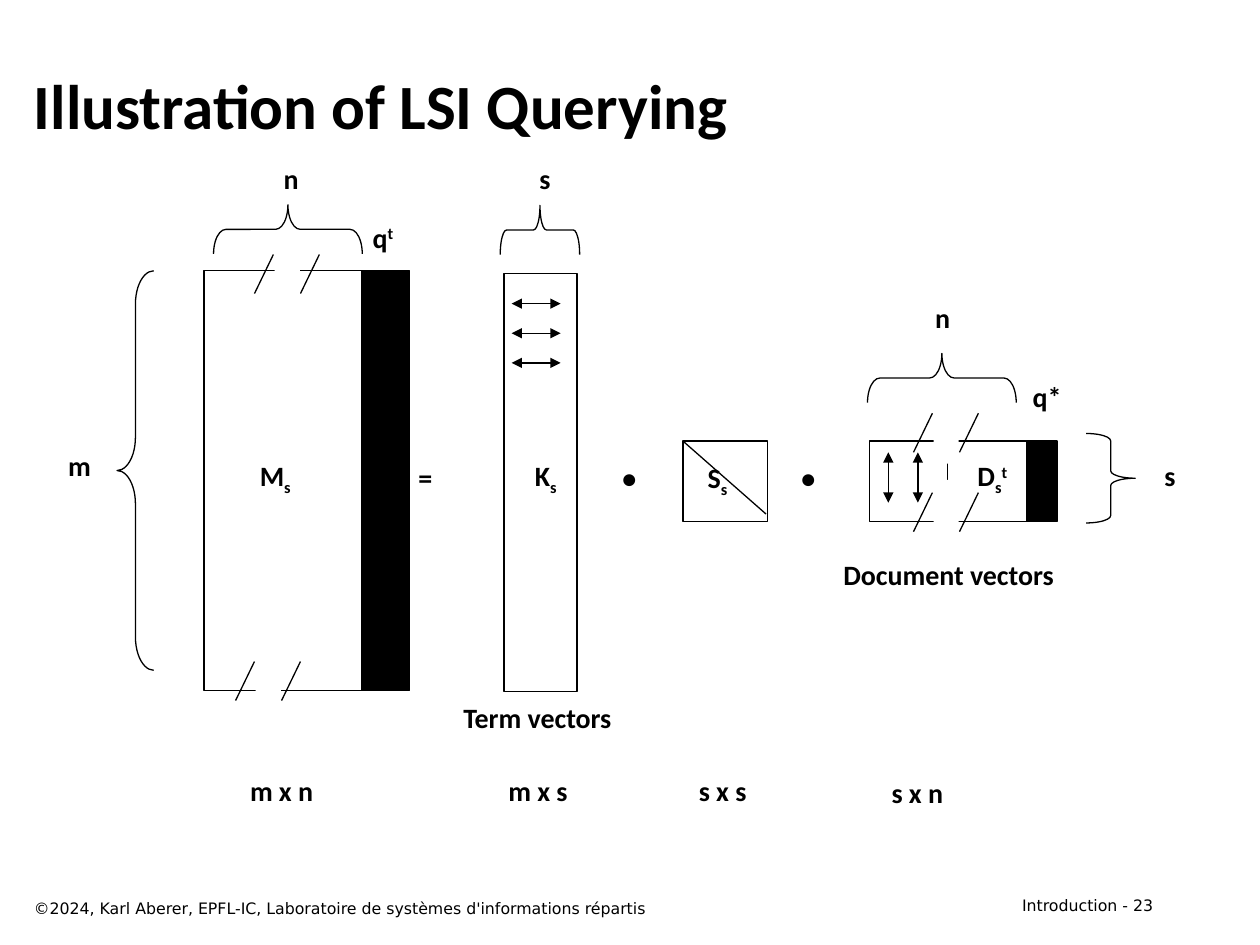
from dataclasses import dataclass

from lxml import etree
from pptx import Presentation
from pptx import util as u
from pptx.dml.color import RGBColor
from pptx.enum import shapes, text
from pptx.oxml.ns import qn

COLORS = {"ink": "000000", "paper": "FFFFFF"}
SUBSCRIPT, SUPERSCRIPT = -25000, 30000
LINE_WIDTH = u.Pt(0.75)
LABEL_HEIGHT = 0.37
ARROW_GAP = 0.235


@dataclass
class Box:
    left: float
    top: float
    width: float
    height: float


@dataclass
class Label:
    left: float
    top: float
    width: float
    base: str
    subscript: str = ""
    superscript: str = ""


@dataclass
class Brace:
    box: Box
    curve: float
    rotation: int = 0


def length(inches: float) -> u.Cm:
    return u.Cm(inches * 2.54)


def place(box: Box) -> list:
    return [length(side) for side in (box.left, box.top, box.width, box.height)]


def color(name: str) -> RGBColor:
    return RGBColor.from_string(COLORS[name])


def style_run(run, size: int, font_name: str, bold: bool) -> None:
    run.font.size = u.Pt(size)
    run.font.name = font_name
    run.font.bold = bold
    run.font.color.rgb = color("ink")


def add_text(slide, box: Box, content: str, size: int, font_name: str = "Calibri",
             bold: bool = True, align=text.PP_ALIGN.LEFT, anchor=text.MSO_ANCHOR.TOP):
    frame = slide.shapes.add_textbox(*place(box)).text_frame
    frame.word_wrap = True
    frame.vertical_anchor = anchor
    frame.text = content
    paragraph = frame.paragraphs[0]
    paragraph.alignment = align
    style_run(paragraph.runs[0], size, font_name, bold)
    return frame


def add_label(slide, label: Label) -> None:
    box = Box(label.left, label.top, label.width, LABEL_HEIGHT)
    frame = add_text(slide, box, label.base, 16, align=text.PP_ALIGN.CENTER)
    frame.word_wrap = False
    frame.auto_size = text.MSO_AUTO_SIZE.SHAPE_TO_FIT_TEXT
    for part, baseline in ((label.subscript, SUBSCRIPT), (label.superscript, SUPERSCRIPT)):
        if part:
            run = frame.paragraphs[0].add_run()
            run.text = part
            style_run(run, 16, "Calibri", True)
            run.font._element.set("baseline", str(baseline))


def add_preset(slide, preset, box: Box, fill: str = "", outlined: bool = True):
    shape = slide.shapes.add_shape(preset, *place(box))
    shape.shadow.inherit = False
    if fill:
        shape.fill.solid()
        shape.fill.fore_color.rgb = color(fill)
    else:
        shape.fill.background()
    if outlined:
        shape.line.color.rgb = color("ink")
        shape.line.width = LINE_WIDTH
    else:
        shape.line.fill.background()
    return shape


def add_brace(slide, brace: Brace) -> None:
    shape = add_preset(slide, shapes.MSO_SHAPE.LEFT_BRACE, brace.box)
    shape.adjustments[0] = brace.curve
    shape.rotation = brace.rotation


def add_line(slide, x1: float, y1: float, x2: float, y2: float, arrows: bool = False) -> None:
    ends = [length(value) for value in (x1, y1, x2, y2)]
    line = slide.shapes.add_connector(shapes.MSO_CONNECTOR.STRAIGHT, *ends)
    line.line.color.rgb = color("ink")
    line.line.width = LINE_WIDTH
    if arrows:
        outline = line.line._get_or_add_ln()
        for end in ("a:headEnd", "a:tailEnd"):
            etree.SubElement(outline, qn(end)).set("type", "triangle")
    etree.SubElement(line._element.spPr, qn("a:effectLst"))


def add_break(slide, left: float, top: float) -> None:
    """Two slashes with a blank gap between them, interrupting a matrix edge."""
    for offset in (0, 0.365):
        add_line(slide, left + offset + 0.15, top, left + offset, top + 0.31)
    gap = Box(left + 0.16, top - 0.1, 0.2, 0.5)
    add_preset(slide, shapes.MSO_SHAPE.RECTANGLE, gap, "paper", outlined=False)


MATRICES = [
    Box(1.62, 2.15, 1.26, 3.33),
    Box(4, 2.17, 0.58, 3.32),
    Box(5.42, 3.5, 0.67, 0.64),
    Box(6.9, 3.5, 1.25, 0.64),
]
QUERY_COLUMNS = [Box(2.87, 2.15, 0.38, 3.33), Box(8.15, 3.5, 0.24, 0.64)]
BRACES = [
    Brace(Box(2.09, 1.23, 0.39, 1.18), 0.25, 90),
    Brace(Box(0.93, 2.15, 0.29, 3.17), 0.91),
    Brace(Box(4.09, 1.51, 0.39, 0.63), 0.13, 90),
    Brace(Box(7.28, 2.41, 0.39, 1.18), 0.25, 90),
    Brace(Box(8.62, 3.44, 0.39, 0.71), 0.15, 180),
]
LABELS = [
    # Matrix names and operators
    Label(1.95, 3.59, 0.47, "M", "s"),
    Label(3.22, 3.61, 0.31, "="),
    Label(4.14, 3.59, 0.38, "K", "s"),
    Label(4.84, 3.61, 0.31, "•"),
    Label(5.51, 3.61, 0.37, "S", "s"),
    Label(6.26, 3.61, 0.31, "•"),
    Label(7.65, 3.59, 0.45, "D", "s", "t"),
    # Brace sizes and query columns
    Label(0.44, 3.51, 0.38, "m"),
    Label(2.15, 1.23, 0.32, "n"),
    Label(4.18, 1.23, 0.29, "s"),
    Label(7.32, 2.34, 0.32, "n"),
    Label(9.14, 3.59, 0.29, "s"),
    Label(2.85, 1.7, 0.38, "q", superscript="t"),
    Label(8.09, 2.96, 0.44, "q*"),
    # Captions and dimensions
    Label(3.57, 5.51, 1.39, "Term vectors"),
    Label(6.58, 4.38, 1.9, "Document vectors"),
    Label(1.88, 6.09, 0.71, "m x n"),
    Label(3.93, 6.09, 0.68, "m x s"),
    Label(5.44, 6.09, 0.59, "s x s"),
    Label(6.97, 6.11, 0.62, "s x n"),
]
BREAKS = [(1.87, 5.25), (2.02, 2.02), (7.25, 3.28), (7.25, 3.91)]


def main() -> None:
    presentation = Presentation()
    presentation.slide_width, presentation.slide_height = length(10), length(7.5)
    slide = presentation.slides.add_slide(presentation.slide_layouts[6])

    # Title and footer
    add_text(slide, Box(0.17, 0.33, 9.08, 1), "Illustration of LSI Querying", 36,
             anchor=text.MSO_ANCHOR.MIDDLE)
    add_text(slide, Box(0.17, 7.08, 6.42, 0.25),
             "©2024, Karl Aberer, EPFL-IC, Laboratoire de systèmes d'informations répartis",
             9, "DejaVu Sans", False)
    add_text(slide, Box(7.17, 7.06, 2.08, 0.25), "Introduction - 23",
             9, "DejaVu Sans", False, text.PP_ALIGN.RIGHT)

    # Matrices, with the diagonal of S
    for box in MATRICES:
        add_preset(slide, shapes.MSO_SHAPE.RECTANGLE, box)
    for box in QUERY_COLUMNS:
        add_preset(slide, shapes.MSO_SHAPE.RECTANGLE, box, "ink")
    add_line(slide, 5.42, 3.5, 6.08, 4.08)

    # Term vectors run across, document vectors run down
    for index in range(3):
        y = 2.41 + index * ARROW_GAP
        add_line(slide, 4.45, y, 4.06, y, arrows=True)
        x = 7.05 + index * ARROW_GAP
        add_line(slide, x, 3.59, x, 3.99, arrows=True)

    # Braces, labels and edge breaks
    for brace in BRACES:
        add_brace(slide, brace)
    for label in LABELS:
        add_label(slide, label)
    for left, top in BREAKS:
        add_break(slide, left, top)

    presentation.save("out.pptx")


if __name__ == "__main__":
    main()
